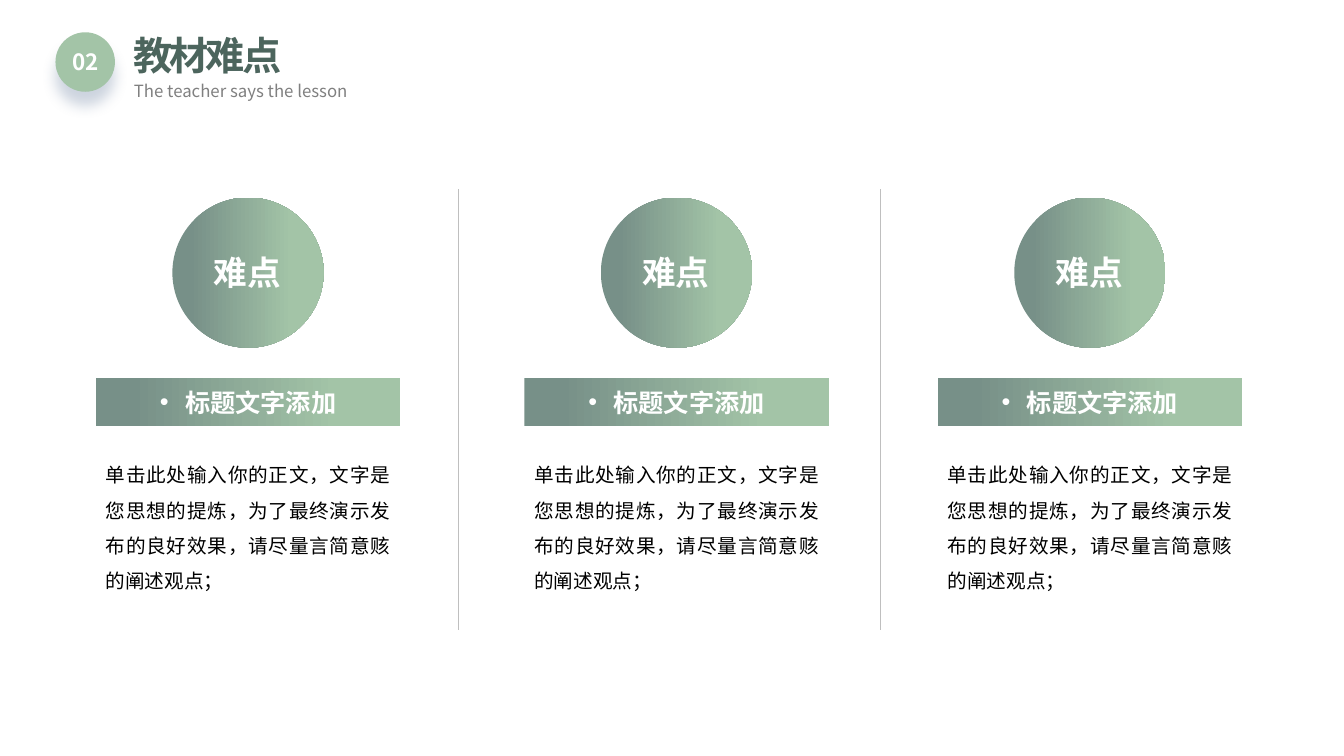
import pptx
import pptx.util
import pptx.dml.color
import pptx.enum.shapes
import pptx.enum.text
import pptx.oxml.ns
from lxml import etree

Inches = pptx.util.Inches
Pt = pptx.util.Pt
RGBColor = pptx.dml.color.RGBColor
Shape = pptx.enum.shapes.MSO_SHAPE
Align = pptx.enum.text.PP_ALIGN
qn = pptx.oxml.ns.qn

WHITE = RGBColor(0xFF, 0xFF, 0xFF)
BLACK = RGBColor(0, 0, 0)
GREY = RGBColor(0x80, 0x80, 0x80)
DIVIDER = RGBColor(0xBF, 0xBF, 0xBF)
DARK_GREEN = RGBColor(0x4C, 0x65, 0x5D)
MID_GREEN = RGBColor(0x77, 0x90, 0x88)
LIGHT_GREEN = RGBColor(0xA3, 0xC4, 0xA7)
SHADOW = RGBColor(0x84, 0x96, 0xB1)


def write(box, text, size, color, bold=False, font="Noto Sans CJK SC", align=Align.LEFT,
          wrap=True, line_spacing=None, bullet=None, tracking=None):
    frame = box.text_frame
    frame.word_wrap = wrap
    frame.auto_size = pptx.enum.text.MSO_AUTO_SIZE.NONE
    frame.vertical_anchor = pptx.enum.text.MSO_ANCHOR.MIDDLE
    para = frame.paragraphs[0]
    para.alignment = align
    para.space_before = Pt(0)
    if line_spacing:
        para.line_spacing = line_spacing
    if bullet:
        properties = para._p.get_or_add_pPr()
        properties.set("marL", str(Inches(0.25)))
        properties.set("indent", str(Inches(-0.25)))
        etree.SubElement(properties, qn("a:buFont"), typeface="Arial")
        etree.SubElement(properties, qn("a:buChar"), char=bullet)
    span = para.add_run()
    span.text = text
    span.font.size = Pt(size)
    span.font.bold = bold
    span.font.name = font
    span.font.color.rgb = color
    run_properties = span._r.get_or_add_rPr()
    etree.SubElement(run_properties, qn("a:ea"), typeface=font)
    if tracking:
        run_properties.set("spc", str(tracking * 100))
    return span


def paint_gradient(fill, *stops):
    fill.gradient()
    fill.gradient_angle = 0
    for stop, (position, color) in zip(fill.gradient_stops, stops):
        stop.position = position
        stop.color.rgb = color


deck = pptx.Presentation()
deck.slide_width = Inches(13.33)
deck.slide_height = Inches(7.5)
page = deck.slides.add_slide(deck.slide_layouts[5])
shapes = page.shapes

title = shapes.title
title.left, title.top, title.width, title.height = map(Inches, (1.22, 0.26, 2.19, 0.57))
title_span = write(title, "教材难点", 28, DARK_GREEN, bold=True, font="Noto Sans CJK JP", tracking=-2)
paint_gradient(title_span.font.fill, (0, DARK_GREEN), (1, MID_GREEN))

subtitle = shapes.add_textbox(Inches(1.23), Inches(0.75), Inches(2.77), Inches(0.3))
write(subtitle, "The teacher says the lesson", 12, GREY)

badge = shapes.add_shape(Shape.OVAL, Inches(0.55), Inches(0.32), Inches(0.59), Inches(0.59))
badge.fill.solid()
badge.fill.fore_color.rgb = LIGHT_GREEN
badge.line.fill.background()
badge.shadow.inherit = False
effects = badge._element.spPr.find(qn("a:effectLst"))
glow = etree.SubElement(effects, qn("a:outerShdw"), blurRad=str(Pt(10)), dist=str(Pt(10)),
                        dir="5400000", algn="t", rotWithShape="0")
glow_color = etree.SubElement(glow, qn("a:srgbClr"), val=str(SHADOW))
etree.SubElement(glow_color, qn("a:alpha"), val="40000")

number = shapes.add_textbox(Inches(0.52), Inches(0.43), Inches(0.66), Inches(0.37))
write(number, "02", 16, WHITE, bold=True, align=Align.CENTER)

for x in (4.55, 8.73):
    divider = shapes.add_connector(pptx.enum.shapes.MSO_CONNECTOR.STRAIGHT,
                                   Inches(x), Inches(1.88), Inches(x), Inches(6.25))
    divider.line.color.rgb = DIVIDER
    divider.line.width = Pt(1)
    etree.SubElement(divider._element.spPr, qn("a:effectLst"))

for left in (0.95, 5.2, 9.3):
    circle = shapes.add_shape(Shape.OVAL, Inches(left + 0.76), Inches(1.96), Inches(1.5), Inches(1.49))
    bar = shapes.add_shape(Shape.RECTANGLE, Inches(left), Inches(3.75), Inches(3.02), Inches(0.48))
    for panel in (circle, bar):
        paint_gradient(panel.fill, (0.12, MID_GREEN), (0.79, LIGHT_GREEN))
        panel.line.fill.background()
        panel.shadow.inherit = False
    write(bar, "标题文字添加", 18, WHITE, bold=True, align=Align.CENTER, bullet="•")

    label = shapes.add_textbox(Inches(left + 1.07), Inches(2.45), Inches(0.89), Inches(0.5))
    write(label, "难点", 24, WHITE, bold=True, wrap=False)

    body = shapes.add_textbox(Inches(left), Inches(4.44), Inches(3.02), Inches(1.48))
    write(body, "单击此处输入你的正文，文字是您思想的提炼，为了最终演示发布的良好效果，请尽量言简意赅的阐述观点；",
          14, BLACK, align=Align.JUSTIFY, line_spacing=1.5)

deck.save("out.pptx")
